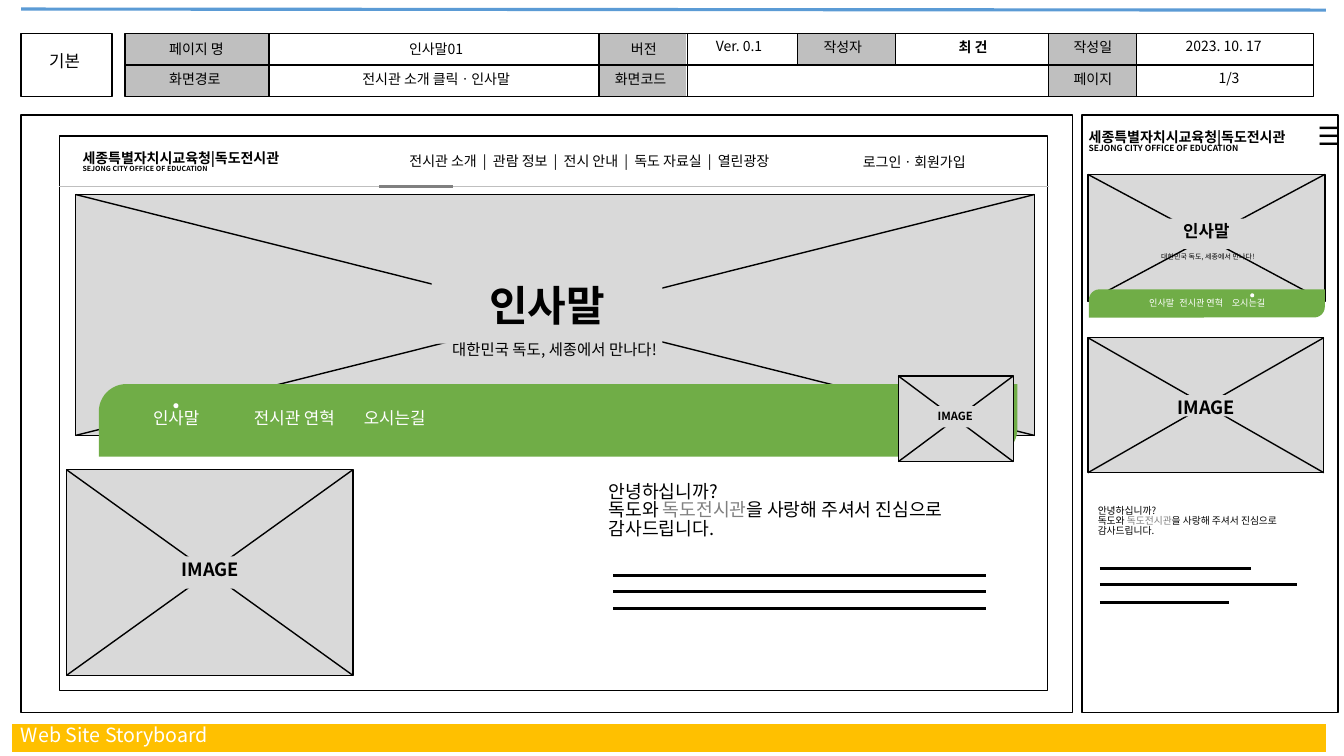
from lxml.etree import SubElement
from pptx import Presentation
from pptx.dml.color import RGBColor
from pptx.enum.shapes import MSO_CONNECTOR, MSO_SHAPE as SHAPE
from pptx.enum.text import MSO_ANCHOR, MSO_AUTO_SIZE, PP_ALIGN as ALIGN
from pptx.oxml.ns import qn
from pptx.util import Inches, Pt

FONT = "Noto Sans CJK KR"
BLACK = RGBColor(0, 0, 0)
WHITE = RGBColor(255, 255, 255)
HEADER_GRAY = RGBColor(0xBF, 0xBF, 0xBF)
IMAGE_GRAY = RGBColor(0xD9, 0xD9, 0xD9)
ACCENT_GRAY = RGBColor(0x80, 0x80, 0x80)
BLUE = RGBColor(0x5B, 0x9B, 0xD5)
GOLD = RGBColor(0xFF, 0xC0, 0x00)
GREEN = RGBColor(0x70, 0xAD, 0x47)

presentation = Presentation()
presentation.slide_width = Inches(13.33)
presentation.slide_height = Inches(7.5)
slide = presentation.slides.add_slide(presentation.slide_layouts[6])


def add_box(left, top, width, height, text="", kind=SHAPE.RECTANGLE, fill=None,
            outline=None, size=10, last_size=None, color=BLACK, bold=False,
            align=ALIGN.LEFT, tabs=()):
    """Add a shape, or a text box if there is text; *stars* mark gray words."""
    frame = [Inches(value) for value in (left, top, width, height)]
    if text:
        shape = slide.shapes.add_textbox(*frame)
    else:
        shape = slide.shapes.add_shape(kind, *frame)
        shape.shadow.inherit = False
        if outline is None:
            shape.line.fill.background()
        else:
            shape.line.color.rgb = outline
            shape.line.width = Pt(1)
    if fill is None:
        shape.fill.background()
    else:
        shape.fill.solid()
        shape.fill.fore_color.rgb = fill
    if not text:
        return shape

    text_frame = shape.text_frame
    text_frame.word_wrap = True
    text_frame.auto_size = MSO_AUTO_SIZE.SHAPE_TO_FIT_TEXT
    text_frame.vertical_anchor = MSO_ANCHOR.TOP
    lines = text.split("\n")
    for number, line in enumerate(lines):
        paragraph = text_frame.add_paragraph() if number else text_frame.paragraphs[0]
        paragraph.alignment = align
        paragraph.line_spacing = 0.84
        if tabs:
            tab_list = SubElement(paragraph._p.get_or_add_pPr(), qn("a:tabLst"))
            for position in tabs:
                SubElement(tab_list, qn("a:tab"), pos=str(Inches(position)), algn="l")
        is_last = number == len(lines) - 1
        for part, words in enumerate(line.split("*")):
            run = paragraph.add_run()
            run.text = words
            run.font.name = FONT
            run.font.size = Pt(last_size if last_size and is_last else size)
            run.font.bold = bold
            run.font.color.rgb = ACCENT_GRAY if part % 2 else color
            SubElement(run._r.get_or_add_rPr(), qn("a:ea"), typeface=FONT)
    return shape


def add_line(x1, y1, x2, y2, color=BLACK, width=1):
    connector = slide.shapes.add_connector(
        MSO_CONNECTOR.STRAIGHT, Inches(x1), Inches(y1), Inches(x2), Inches(y2))
    connector.line.color.rgb = color
    connector.line.width = Pt(width)
    SubElement(connector._element.spPr, qn("a:effectLst"))
    return connector


# Slide frame, page type and footer
add_box(0.21, 1.14, 10.43, 5.93, fill=WHITE, outline=BLACK)
add_box(0.21, 0.33, 0.9, 0.63, fill=WHITE, outline=BLACK)
add_box(0.39, 0.49, 0.54, 0.36, "기본", size=12)
add_line(0.21, 0.09, 13.15, 0.1, BLUE, 2.25)
add_line(0.12, 7.32, 13.15, 7.32, GOLD, 20)
add_box(0.11, 7.16, 2.61, 0.34, "Web Site Storyboard", size=14, color=WHITE)

# Page information grid
for left, width, height in [(10.4, 0.88, 0.63), (1.24, 1.44, 0.63),
                            (5.94, 0.87, 0.63), (7.91, 0.97, 0.32)]:
    add_box(left, 0.33, width, height, fill=HEADER_GRAY, outline=WHITE)
grid = add_box(1.24, 0.33, 11.79, 0.63, outline=BLACK)
middle_line = add_line(1.24, 0.65, 13.03, 0.65)
middle_line.begin_connect(grid, 1)
middle_line.end_connect(grid, 3)
for x, bottom in [(2.67, 0.96), (5.94, 0.96), (6.82, 0.96), (7.91, 0.65),
                  (8.88, 0.65), (10.4, 0.96), (11.27, 0.96)]:
    add_line(x, 0.33, x, bottom)
for left, top, width, label in [
        (1.58, 0.38, 0.94, "페이지 명"), (1.58, 0.68, 0.94, "화면경로"),
        (6, 0.68, 0.76, "화면코드"), (8.07, 0.36, 0.67, "작성자"),
        (10.55, 0.36, 0.62, "작성일"), (10.55, 0.68, 0.62, "페이지")]:
    add_box(left, top, width, 0.27, label)
for left, top, width, value in [
        (6.01, 0.38, 0.75, "버전"), (2.84, 0.38, 2.97, "인사말01"),
        (6.9, 0.35, 0.86, "Ver. 0.1"), (9.22, 0.36, 0.86, "최 건"),
        (11.63, 0.35, 1.01, "2023. 10. 17"), (11.59, 0.67, 1.2, "1/3"),
        (2.84, 0.68, 2.97, "전시관 소개 클릭ㆍ인사말")]:
    add_box(left, top, width, 0.27, value, align=ALIGN.CENTER, bold=value == "최 건")

# Desktop and mobile screens
add_box(0.59, 1.35, 9.8, 5.5, fill=WHITE, outline=BLACK)
add_box(10.73, 1.14, 2.54, 5.93, outline=BLACK)
for left, top, width, height, small in [(0.72, 1.46, 2.52, 0.35, 5),
                                        (10.7, 1.25, 2.34, 0.4, 6)]:
    add_box(left, top, width, height,
            "세종특별자치시교육청|독도전시관\nSEJONG CITY OFFICE OF EDUCATION",
            bold=True, last_size=small)

# Navigation
add_box(3.62, 1.49, 4.45, 0.27,
        "전시관 소개  |  관람 정보  |  전시 안내  |  독도 자료실  |  열린광장",
        align=ALIGN.CENTER)
add_box(8.46, 1.5, 1.32, 0.27, "로그인ㆍ회원가입")
add_line(0.59, 1.85, 10.4, 1.85, HEADER_GRAY, 0.5)
add_line(3.76, 1.85, 4.49, 1.85, ACCENT_GRAY, 2.25)
add_box(12.97, 1.19, 0.3, 0.44, "☰", size=18, align=ALIGN.CENTER)

# Image frames: frame, label box, label, size, and the menu bar laid over it
desktop_bar = dict(bar=(0.98, 3.81, 9.11, 0.72), dot=(1.72, 4, 0.05, 0.05),
                   menu=(1.42, 4.03, 3.3, 0.3), size=12, tabs=(1, 2.09))
mobile_bar = dict(bar=(10.8, 2.87, 2.34, 0.28), dot=(12.4, 2.91, 0.04, 0.04),
                  menu=(11.3, 2.92, 1.66, 0.21), size=6.5, tabs=(0.3, 0.82))
for frame, label_box, label, size, menu_bar in [
        ((0.75, 1.93, 9.51, 2.39), (4.28, 2.8, 2.29, 0.61), "인사말", 30, desktop_bar),
        ((8.91, 3.73, 1.14, 0.85), (9.16, 4.03, 0.63, 0.21), "IMAGE", 8, None),
        ((0.66, 4.66, 2.84, 2.04), (1.3, 5.52, 1.57, 0.32), "IMAGE", 13, None),
        ((10.79, 1.73, 2.35, 1.26), (11.5, 2.17, 0.93, 0.3), "인사말", 12, mobile_bar),
        ((10.79, 3.35, 2.34, 1.34), (11.32, 3.92, 1.29, 0.21), "IMAGE", 13, None)]:
    left, top, width, height = frame
    add_box(*frame, fill=IMAGE_GRAY, outline=BLACK)
    add_line(left, top, left + width, top + height)
    add_line(left, top + height, left + width, top)
    add_box(*label_box, label, fill=IMAGE_GRAY, size=size, bold=True, align=ALIGN.CENTER)
    if menu_bar:
        bar = add_box(*menu_bar["bar"], kind=SHAPE.ROUND_2_DIAG_RECTANGLE, fill=GREEN)
        bar.adjustments[0] = 0.379
        bar.adjustments[1] = 0
        add_box(*menu_bar["menu"], "인사말\t전시관 연혁\t오시는길",
                size=menu_bar["size"], color=WHITE, tabs=menu_bar["tabs"])
        add_box(*menu_bar["dot"], kind=SHAPE.OVAL, fill=WHITE)

# Slogans under the hero titles
for left, top, width, height, size in [(4.07, 3.35, 2.86, 0.29, 11),
                                       (11.31, 2.47, 1.34, 0.19, 5)]:
    add_box(left, top, width, height, "대한민국 독도, 세종에서 만나다!",
            size=size, align=ALIGN.CENTER)

# Greetings and body text lines
for left, top, width, height, size in [(5.94, 4.75, 3.95, 0.76, 13),
                                       (10.79, 4.98, 2.34, 0.45, 7)]:
    add_box(left, top, width, height,
            "안녕하십니까?\n독도와 *독도전시관*을 사랑해 주셔서 진심으로\n감사드립니다.",
            size=size)
for x1, x2, y in [(6.08, 9.78, 5.71), (6.08, 9.78, 5.87), (6.08, 9.78, 6.04),
                  (10.91, 12.41, 5.64), (10.91, 12.86, 5.8), (10.91, 12.19, 5.98)]:
    add_line(x1, y, x2, y, width=2.25)

presentation.save("out.pptx")
